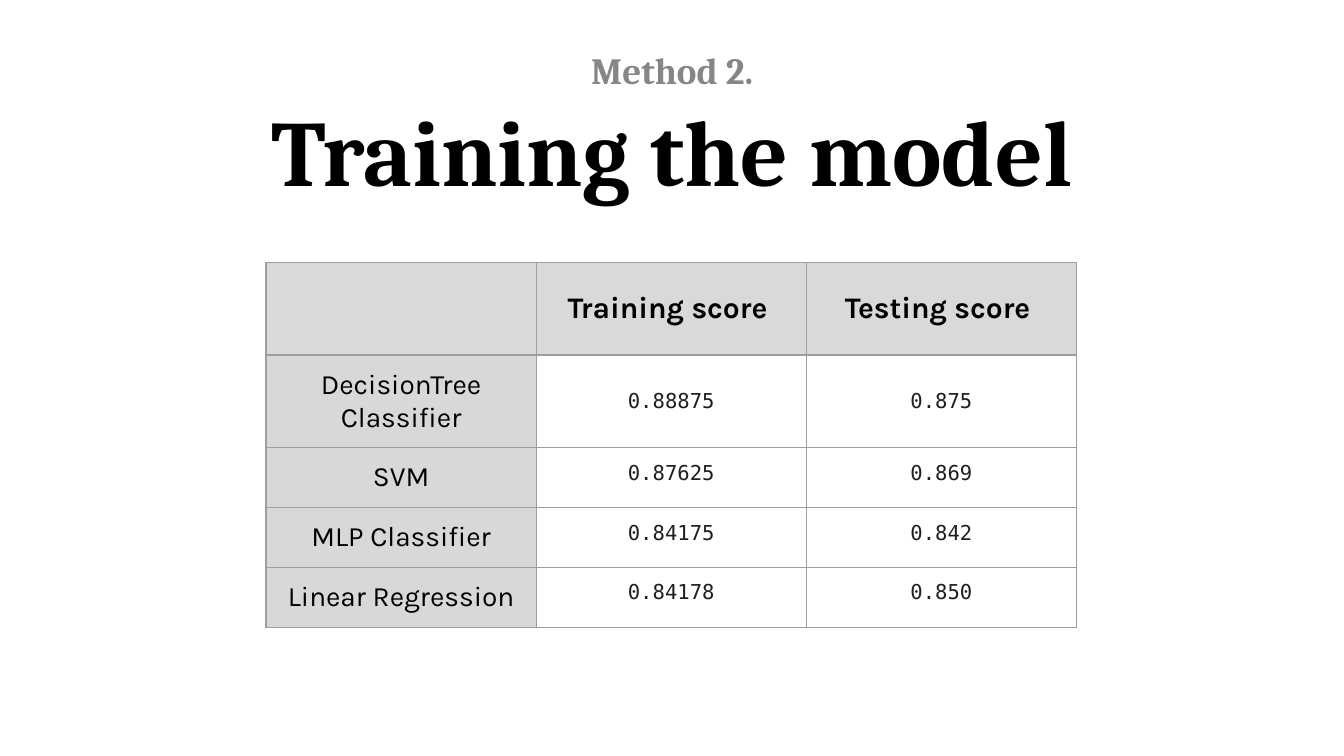
from lxml import etree
from pptx import Presentation
from pptx import util as u
from pptx.dml import color
from pptx.enum import text
from pptx.oxml import ns

COLORS = {
    "ink": "000000",
    "score": "1F1F1F",
    "method": "868686",
    "border": "9E9E9E",
    "header": "D9D9D9",
    "model": "D8D8D8",
    "plain": "FFFFFF",
}
INSET = u.Pt(7.2)
HEADINGS = ["", "Training score ", "Testing score "]
SCORES = [
    ("DecisionTree\nClassifier", "0.88875", "0.875"),
    ("SVM", "0.87625", "0.869"),
    ("MLP Classifier", "0.84175", "0.842"),
    ("Linear Regression", "0.84178", "0.850"),
]
ROW_HEIGHTS = [49.4, 49.4, 31.6, 31.6, 31.6]
COLUMN_WIDTH = 144.72


def rgb(name):
    """Return the named colour."""
    return color.RGBColor.from_string(COLORS[name])


def write(frame, wording, *, font, size, ink="ink", bold=False):
    """Fill a text frame with centred, formatted paragraphs."""
    frame.text = wording
    for paragraph in frame.paragraphs:
        paragraph.alignment = text.PP_ALIGN.CENTER
        paragraph.space_before = u.Pt(0)
        for run in paragraph.runs:
            run.font.name = font
            run.font.size = u.Pt(size)
            run.font.bold = bold
            run.font.color.rgb = rgb(ink)


def set_insets(holder):
    """Give a cell or text frame equal inner margins."""
    holder.margin_left = holder.margin_right = INSET
    holder.margin_top = holder.margin_bottom = INSET


def place_heading(heading, wording, left, top, width, height, **style):
    """Move a placeholder and write its heading."""
    heading.left, heading.top = u.Pt(left), u.Pt(top)
    heading.width, heading.height = u.Pt(width), u.Pt(height)
    frame = heading.text_frame
    frame.auto_size = text.MSO_AUTO_SIZE.NONE
    frame.word_wrap = True
    frame.vertical_anchor = text.MSO_ANCHOR.MIDDLE
    set_insets(frame)
    write(frame, wording, font="Cambria", bold=True, **style)


def add_borders(cell):
    """Draw a thin line on each side of a cell."""
    properties = cell._tc.get_or_add_tcPr()
    for index, side in enumerate(("lnL", "lnR", "lnT", "lnB")):
        line = etree.Element(ns.qn(f"a:{side}"), w=str(u.Pt(0.75)))
        fill = etree.SubElement(line, ns.qn("a:solidFill"))
        etree.SubElement(fill, ns.qn("a:srgbClr"), val=COLORS["border"])
        properties.insert(index, line)


def format_cell(cell, wording, fill, middle, **style):
    """Fill, border and write one table cell."""
    cell.fill.solid()
    cell.fill.fore_color.rgb = rgb(fill)
    set_insets(cell)
    cell.vertical_anchor = text.MSO_ANCHOR.MIDDLE if middle else text.MSO_ANCHOR.TOP
    write(cell.text_frame, wording, **style)
    add_borders(cell)


def add_score_table(slide):
    """Add the table of training and testing scores."""
    scores = slide.shapes.add_table(
        len(ROW_HEIGHTS), len(HEADINGS), u.Pt(142.56), u.Pt(140.8),
        u.Pt(COLUMN_WIDTH * len(HEADINGS)), u.Pt(sum(ROW_HEIGHTS)),
    ).table
    scores.first_row = scores.horz_banding = False
    for column in scores.columns:
        column.width = u.Pt(COLUMN_WIDTH)
    for row, height in zip(scores.rows, ROW_HEIGHTS):
        row.height = u.Pt(height)

    for column, heading in enumerate(HEADINGS):
        format_cell(scores.cell(0, column), heading, "header", True,
                    font="Karla", size=16, bold=True)
    for row, (model, *results) in enumerate(SCORES, start=1):
        format_cell(scores.cell(row, 0), model, "model", False, font="Karla", size=15)
        for column, result in enumerate(results, start=1):
            format_cell(scores.cell(row, column), result, "plain", row == 1,
                        font="DejaVu Sans Mono", size=11, ink="score")


def main():
    """Build and save the slide."""
    deck = Presentation()
    deck.slide_width, deck.slide_height = u.Pt(720), u.Pt(405)
    slide = deck.slides.add_slide(deck.slide_layouts[0])
    title, method = slide.placeholders
    place_heading(title, "Training the model", 24.5, 41.8, 671, 76.3, size=50)
    place_heading(method, "Method 2.", 262, 18.7, 196, 37.4, size=19.8, ink="method")
    add_score_table(slide)
    deck.save("out.pptx")


if __name__ == "__main__":
    main()
